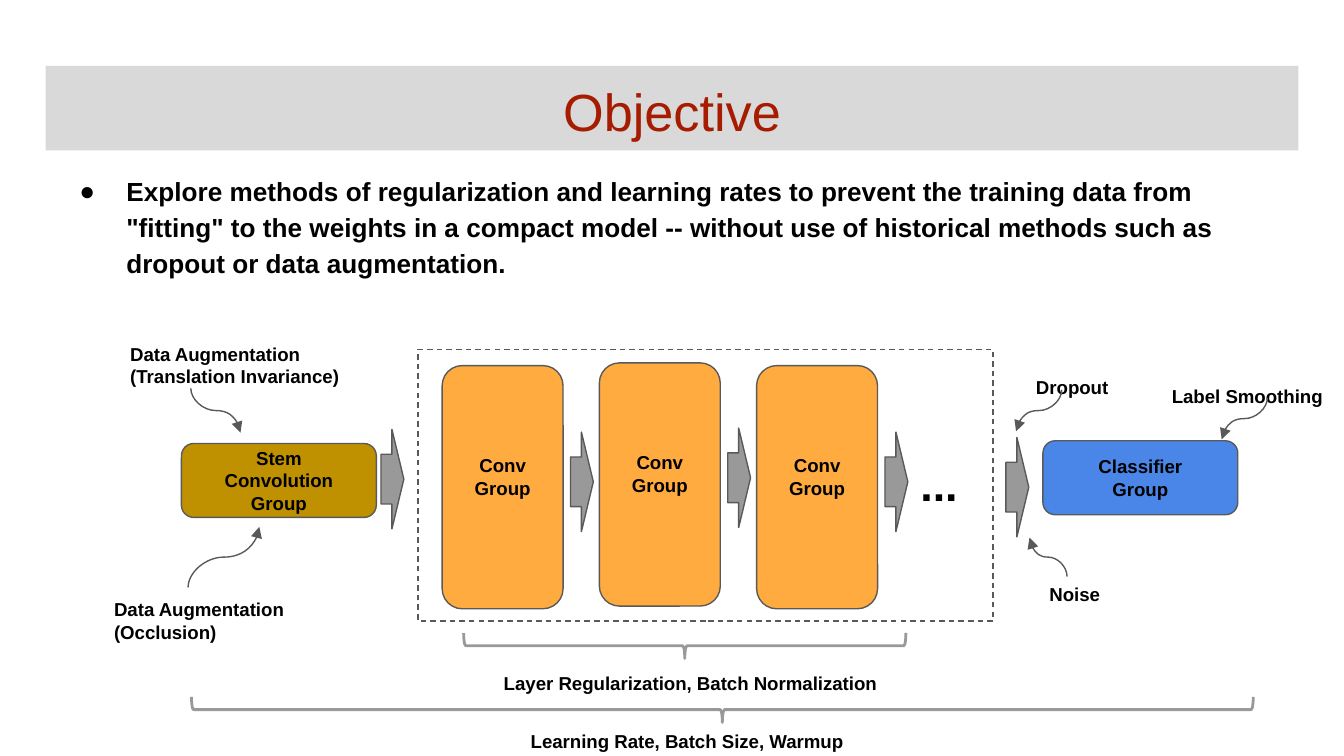
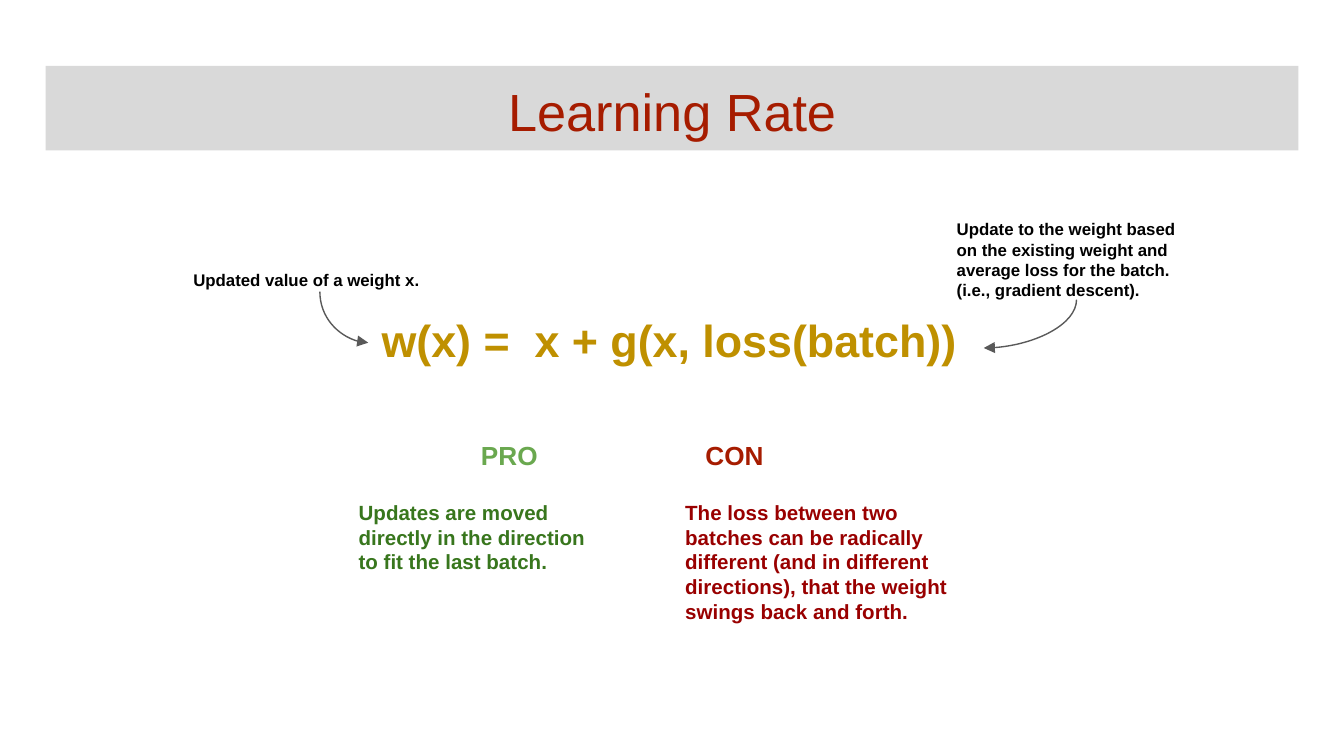
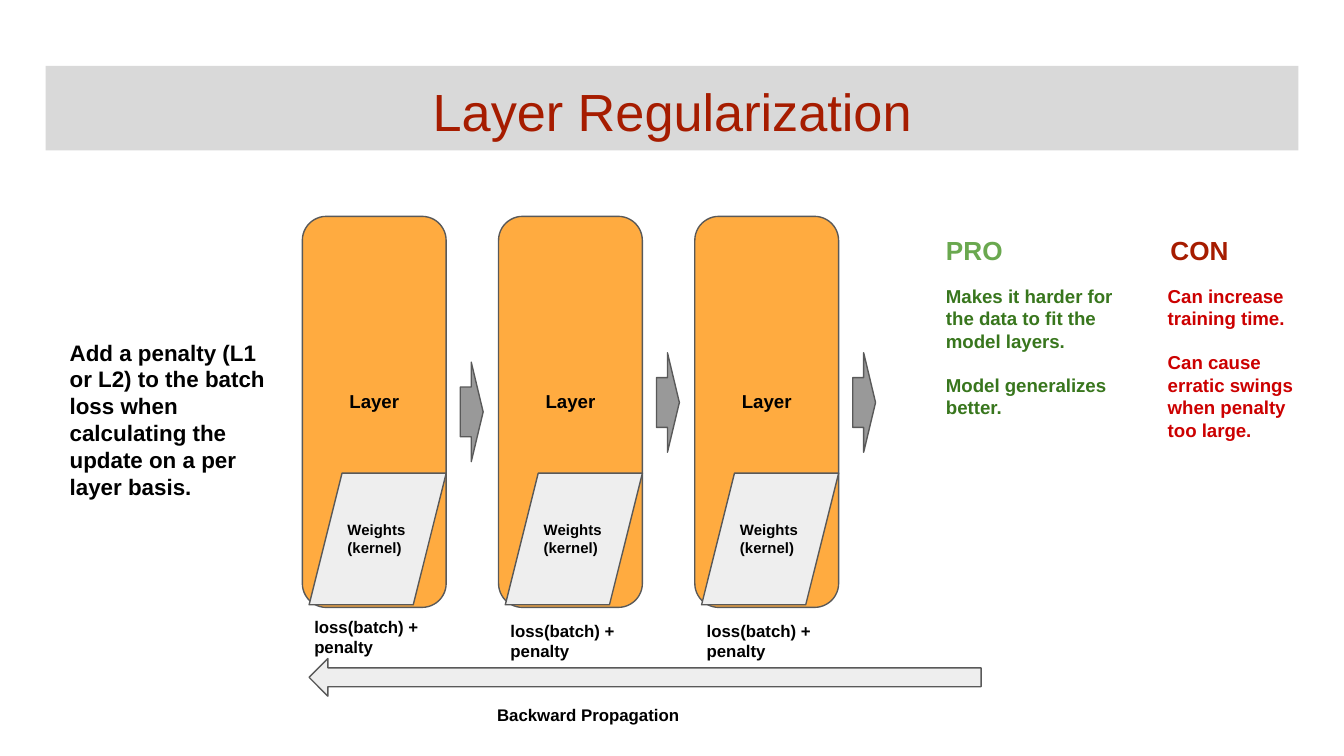
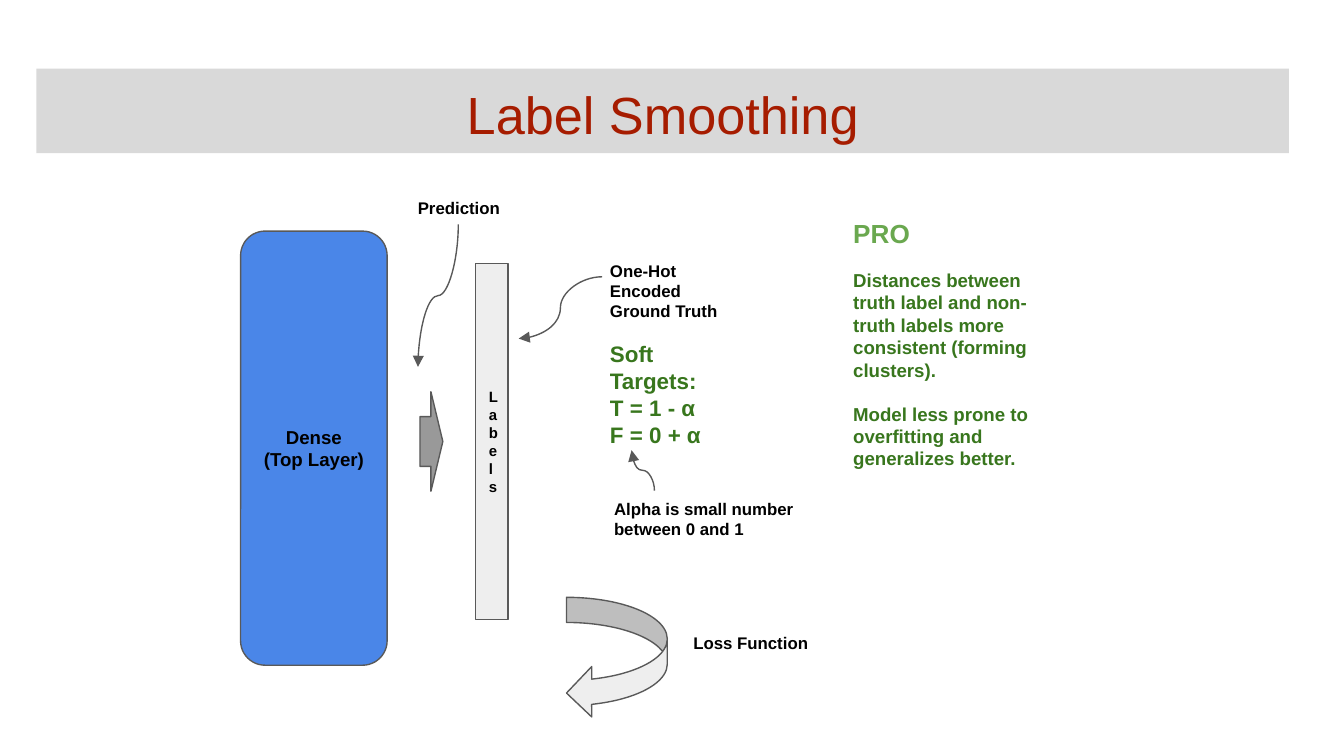
"""Builds four slides on regularization and learning rates for compact models."""
import pptx
import pptx.dml.color
import pptx.enum.dml
import pptx.enum.shapes
import pptx.enum.text
import pptx.oxml
import pptx.oxml.ns
import pptx.util

Inches = pptx.util.Inches
Pt = pptx.util.Pt
SHAPE = pptx.enum.shapes.MSO_SHAPE
CURVE = pptx.enum.shapes.MSO_CONNECTOR.CURVE
ALIGN = pptx.enum.text.PP_ALIGN
ANCHOR = pptx.enum.text.MSO_ANCHOR

WIDTH = 10
HEIGHT = WIDTH * 9 / 16
FONT = "Arial"
LINE_HEIGHT = 1.15
COLORS = {
    "band": "D9D9D9", "title": "A61C00", "text": "000000", "outline": "595959",
    "gray": "999999", "pale": "EEEEEE", "gold": "BF9000", "orange": "FFAB40",
    "blue": "4A86E8", "pro": "6AA84F", "green": "38761D", "con": "A61C00",
    "dark red": "990000", "red": "CC0000",
}
FRAME = {
    "word_wrap": True, "auto_size": pptx.enum.text.MSO_AUTO_SIZE.NONE,
    "margin_left": Inches(0.1), "margin_right": Inches(0.1),
    "margin_top": Inches(0.1), "margin_bottom": Inches(0.1),
}
TITLE_BOX = (0.34, 0.49, 9.32, 0.63)
BODY_BOX = (0.34, 1.17, 9.13, 1.38)
ARROW_SIZE = (0.74, 0.17)
CONV_PITCH, LAYER_PITCH = 1.17, 1.46
ABOVE_MIDDLE = {"margin_bottom": Inches(0.26)}


def block(text, size=10, color="text"):
    """Return one block of lines that share a size and a colour."""
    return text, size, color


def forward_arrow(left, top):
    """Return the block arrow that points to the next stage."""
    return (SHAPE.DOWN_ARROW, (left, top, *ARROW_SIZE), "gray", [],
            {"rotation": 270, "adjustments": (0.5, 0.52)})


def brace(left, top, length):
    """Return a brace that opens upwards over the stages it sums up."""
    return (SHAPE.LEFT_BRACE, (left, top, 0.19, length), None, [],
            {"rotation": 270, "adjustments": (0.08, 0.5), "line": ("gray", 1.5)})


def pro_con(left, top, headings=("PRO", "CON")):
    """Return the headings of the pro and con columns."""
    return [((left + 1.67 * column, top, 1.19, 0.52), [block(heading, 14, heading.lower())])
            for column, heading in enumerate(headings)]


conv_groups = [
    (SHAPE.ROUNDED_RECTANGLE, (3.29 + CONV_PITCH * column, top, 0.9, 1.81), "orange",
     [block(text)], {"frame": ABOVE_MIDDLE})
    for column, (top, text) in enumerate(
        [(2.72, "Conv Group"), (2.7, "Conv Group"), (2.72, "Conv\nGroup")])
]
conv_arrows = [forward_arrow(3.96 + CONV_PITCH * column, top)
               for column, top in enumerate((3.5, 3.47, 3.5))]
layers, loss_labels = [], []
for column, (arrow_top, loss_top) in enumerate([(2.98, 4.49), (2.91, 4.52), (2.91, 4.52)]):
    shift = LAYER_PITCH * column
    layers += [
        (SHAPE.ROUNDED_RECTANGLE, (2.25 + shift, 1.61, 1.07, 2.91), "orange",
         [block("Layer")], {"frame": ABOVE_MIDDLE}),
        forward_arrow(3.14 + shift, arrow_top),
        (SHAPE.PARALLELOGRAM, (2.3 + shift, 3.52, 1.02, 0.98), "pale",
         [block("Weights\v(kernel)", 8)], {"align": ALIGN.LEFT}),
    ]
    loss_labels.append(((2.24 + shift, loss_top, 1.14, 0.42),
                        [block("loss(batch) + penalty", 9)]))

SLIDES = [
    {
        "title": "Objective",
        "body": "Explore methods of regularization and learning rates to prevent the training "
                "data from \"fitting\" to the weights in a compact model -- without use of "
                "historical methods such as dropout or data augmentation.",
        "shapes": [
            (SHAPE.RECTANGLE, (3.11, 2.6, 4.28, 2.02), None, [], {"dash": True}),
            (SHAPE.ROUNDED_RECTANGLE, (1.35, 3.3, 1.45, 0.55), "gold",
             [block("Stem\vConvolution Group")], {}),
            *conv_groups,
            forward_arrow(2.55, 3.48),
            *conv_arrows,
            (SHAPE.ROUNDED_RECTANGLE, (7.76, 3.28, 1.45, 0.55), "blue",
             [block("Classifier\vGroup")], {}),
            forward_arrow(7.2, 3.54),
            brace(5, 3.16, 3.29),
            brace(5.28, 1.33, 7.9),
        ],
        "labels": [
            ((6.75, 3.3, 0.8, 0.32), [block("...", 24)]),
            ((0.87, 2.45, 2.08, 0.39), [block("Data Augmentation\n(Translation Invariance)")]),
            ((0.75, 4.35, 2.08, 0.39), [block("Data Augmentation\n(Occlusion)")]),
            ((8.62, 2.76, 1.38, 0.29), [block("Label Smoothing")]),
            ((3.65, 4.9, 3.06, 0.29), [block("Layer Regularization, Batch Normalization")]),
            ((3.85, 5.33, 3.29, 0.25), [block("Learning Rate, Batch Size, Warmup")]),
            ((7.61, 2.7, 1.38, 0.29), [block("Dropout")]),
            ((7.71, 4.24, 1.38, 0.29), [block("Noise")]),
        ],
        "curves": [
            ((1.42, 2.89), (1.79, 3.22), "S"),
            ((1.4, 4.37), (1.93, 3.92), "S"),
            ((9.43, 2.96), (9.09, 3.27), "S"),
            ((7.94, 4.29), (7.66, 4), "S"),
            ((7.9, 2.9), (7.56, 3.21), "S"),
        ],
    },
    {
        "title": "Learning Rate",
        "labels": [
            ((2.74, 2.23, 5.09, 0.63), [block("w(x) =  x + g(x, loss(batch))", 24, "gold")]),
            ((1.34, 1.91, 1.93, 0.46), [block("Updated value of a weight x.", 9)]),
            ((7.02, 1.53, 1.98, 0.7),
             [block("Update to the weight based on the existing weight and average loss for "
                    "the batch.\n(i.e., gradient descent).", 9)]),
            *pro_con(3.48, 3.17),
            ((2.57, 3.62, 1.93, 0.91),
             [block("Updates are moved directly in the direction to fit the last batch.",
                    11, "green")]),
            ((5, 3.62, 2.16, 1.14),
             [block("The loss between two batches can be radically different (and in "
                    "different directions), that the weight swings back and forth.",
                    11, "dark red")]),
        ],
        "curves": [((2.38, 2.17), (2.74, 2.55), "arc"), ((8.01, 2.23), (7.32, 2.59), "arc")],
    },
    {
        "title": "Layer Regularization",
        "shapes": [
            *layers,
            (SHAPE.LEFT_ARROW, (2.3, 4.9, 5, 0.28), "pale", [], {}),
        ],
        "labels": [
            *loss_labels,
            ((3.6, 5.14, 1.81, 0.36), [block("Backward Propagation", 9)]),
            ((0.42, 2.42, 1.76, 2.82),
             [block("Add a penalty (L1 or L2) to the batch loss when calculating the update "
                    "on a per layer basis.", 12)]),
            ((6.94, 2.02, 1.65, 3.14),
             [block("Makes it harder for the data to fit the model layers.", 10, "green"),
              block("Model generalizes better.", 10, "green")]),
            *pro_con(6.94, 1.64),
            ((8.59, 2.02, 1.21, 2.96),
             [block("Can increase\ntraining time.", 10, "red"),
              block("Can cause erratic swings when penalty too large.", 10, "red")]),
        ],
    },
    {
        "title": "Label Smoothing",
        "title box": (0.27, 0.51, 9.32, 0.63),
        "shapes": [
            (SHAPE.ROUNDED_RECTANGLE, (1.79, 1.72, 1.09, 3.23), "blue",
             [block("Dense\n(Top Layer)")], {}),
            forward_arrow(2.84, 3.2),
            (SHAPE.RECTANGLE, (3.54, 1.96, 0.24, 2.65), "pale", [block("Labels", 8)],
             {"align": ALIGN.LEFT}),
            (SHAPE.CURVED_DOWN_ARROW, (4.14, 4.52, 0.9, 0.75), "pale", [],
             {"rotation": 90, "adjustments": (0.25, 0.5, 0.25)}),
        ],
        "labels": [
            ((3.01, 1.37, 1.09, 0.4), [block("Prediction", 9)]),
            ((4.44, 1.84, 1.09, 1.67),
             [block("One-Hot Encoded Ground Truth", 9),
              block("Soft Targets:\vT = 1 - α\nF = 0 + α", 12, "green")]),
            ((5.06, 4.61, 1.09, 0.4), [block("Loss Function", 9)]),
            ((6.25, 1.9, 1.65, 3.14),
             [block("Distances between truth label and non-truth labels more consistent "
                    "(forming clusters).", 10, "green"),
              block("Model less prone to overfitting and generalizes better.", 10, "green")]),
            *pro_con(6.25, 1.52, ("PRO",)),
            ((4.47, 3.61, 1.65, 0.4), [block("Alpha is small number between 0 and 1", 9)]),
        ],
        "curves": [
            ((3.41, 1.67), (3.11, 2.73), "S"),
            ((4.48, 2.06), (3.86, 2.52), "level"),
            ((4.87, 3.65), (4.7, 3.35), "S"),
        ],
    },
]


def rgb(name):
    """Return the named colour."""
    return pptx.dml.color.RGBColor.from_string(COLORS[name])


def set_values(target, values):
    """Set each named attribute of the target."""
    for name, value in values.items():
        setattr(target, name, value)


def place(shape, box):
    """Move and size a shape by a box in inches."""
    set_values(shape, dict(zip(("left", "top", "width", "height"), map(Inches, box))))


def add_xml(parent, markup):
    """Append one drawing element to the parent."""
    tag, _, rest = markup.partition(" ")
    parent.append(pptx.oxml.parse_xml(f"<a:{tag} {pptx.oxml.ns.nsdecls('a')} {rest}"))


def write(shape, blocks, align=ALIGN.LEFT, frame=None, bold=True):
    """Write blocks of text, with one line of space between them."""
    text_frame = shape.text_frame
    set_values(text_frame, {**FRAME, **(frame or {})})
    paragraph, gap = None, 0
    for text, size, color in blocks:
        for line in text.split("\n"):
            paragraph = text_frame.add_paragraph() if paragraph else text_frame.paragraphs[0]
            set_values(paragraph, {"text": line, "alignment": align, "space_before": Pt(gap)})
            gap = 0
            for run in paragraph.runs:
                set_values(run.font, {"name": FONT, "size": Pt(size), "bold": bold})
                run.font.color.rgb = rgb(color)
        gap = round(size * LINE_HEIGHT, 1)


def add_title(slide, text, box):
    """Turn the title placeholder into the gray title band."""
    title = slide.shapes.title
    place(title, box)
    title.fill.solid()
    title.fill.fore_color.rgb = rgb("band")
    write(title, [block(text, 28, "title")], ALIGN.CENTER,
          {"vertical_anchor": ANCHOR.TOP}, bold=False)


def add_body(slide, text):
    """Fill the body placeholder with one bulleted paragraph."""
    body = slide.placeholders[1]
    place(body, BODY_BOX)
    write(body, [block(text, 14)])
    paragraph = body.text_frame.paragraphs[0]
    paragraph.line_spacing = LINE_HEIGHT
    properties = paragraph._p.get_or_add_pPr()
    properties.set("marL", str(Inches(0.5)))
    properties.set("indent", str(Inches(-0.35)))
    add_xml(properties, f'buClr ><a:srgbClr val="{COLORS["text"]}"/></a:buClr>')
    add_xml(properties, 'buChar char="●"/>')


def add_figure(slide, kind, box, fill, blocks, options):
    """Add a preset shape with its outline, fill and text."""
    shape = slide.shapes.add_shape(kind, *map(Inches, box))
    shape.shadow.inherit = False
    shape.rotation = options.get("rotation", 0)
    for index, value in enumerate(options.get("adjustments", ())):
        shape.adjustments[index] = value
    if fill:
        shape.fill.solid()
        shape.fill.fore_color.rgb = rgb(fill)
    else:
        shape.fill.background()
    color, weight = options.get("line", ("outline", 0.75))
    shape.line.color.rgb = rgb(color)
    shape.line.width = Pt(weight)
    if options.get("dash"):
        shape.line.dash_style = pptx.enum.dml.MSO_LINE.DASH
    if blocks:
        write(shape, blocks, options.get("align", ALIGN.CENTER), options.get("frame"))


def add_curve(slide, start, end, bend):
    """Add a curved arrow, turned a quarter unless it leaves its start level."""
    across, down = end[0] - start[0], end[1] - start[1]
    rotation = 0
    if bend != "level":
        rotation = 270 if across > 0 else 90
        middle = (start[0] + end[0]) / 2, (start[1] + end[1]) / 2
        half_width, half_height = abs(down) / 2, abs(across) / 2
        if (across > 0) == (down > 0):
            half_width = -half_width
        start = middle[0] - half_width, middle[1] - half_height
        end = middle[0] + half_width, middle[1] + half_height
    connector = slide.shapes.add_connector(CURVE, *map(Inches, (*start, *end)))
    connector.line.color.rgb = rgb("outline")
    connector.line.width = Pt(0.75)
    properties = connector._element.spPr
    if rotation:
        properties.find(pptx.oxml.ns.qn("a:xfrm")).set("rot", str(rotation * 60000))
    if bend == "arc":
        properties.find(pptx.oxml.ns.qn("a:prstGeom")).set("prst", "curvedConnector2")
    add_xml(properties.find(pptx.oxml.ns.qn("a:ln")), 'tailEnd type="triangle"/>')
    add_xml(properties, "effectLst />")


def main():
    """Build and save the presentation."""
    presentation = pptx.Presentation()
    presentation.slide_width, presentation.slide_height = Inches(WIDTH), Inches(HEIGHT)
    for content in SLIDES:
        layout = presentation.slide_layouts[1 if "body" in content else 5]
        slide = presentation.slides.add_slide(layout)
        add_title(slide, content["title"], content.get("title box", TITLE_BOX))
        if "body" in content:
            add_body(slide, content["body"])
        for figure in content.get("shapes", []):
            add_figure(slide, *figure)
        for box, blocks in content["labels"]:
            write(slide.shapes.add_textbox(*map(Inches, box)), blocks)
        for curve in content.get("curves", []):
            add_curve(slide, *curve)
    presentation.save("out.pptx")


if __name__ == "__main__":
    main()
